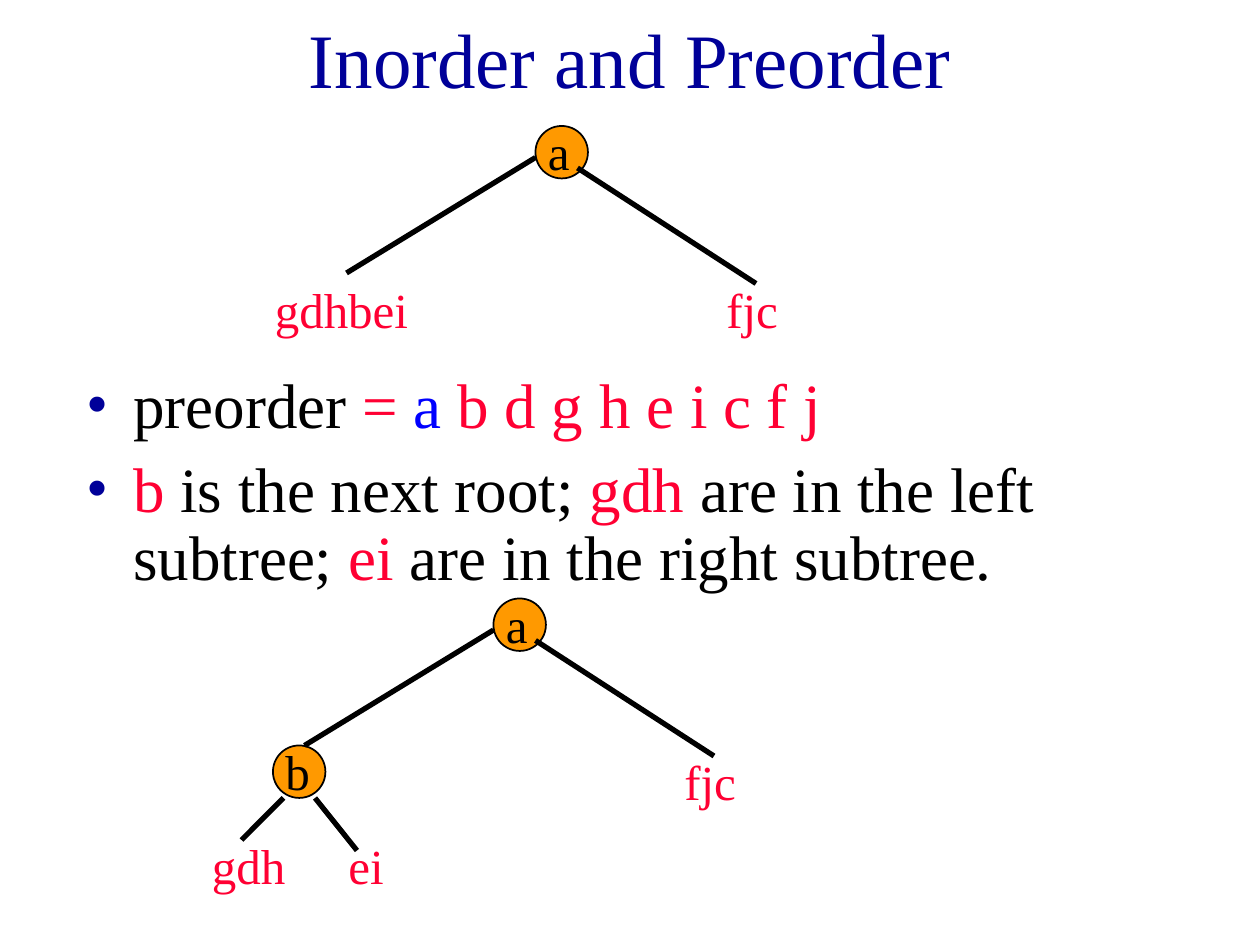
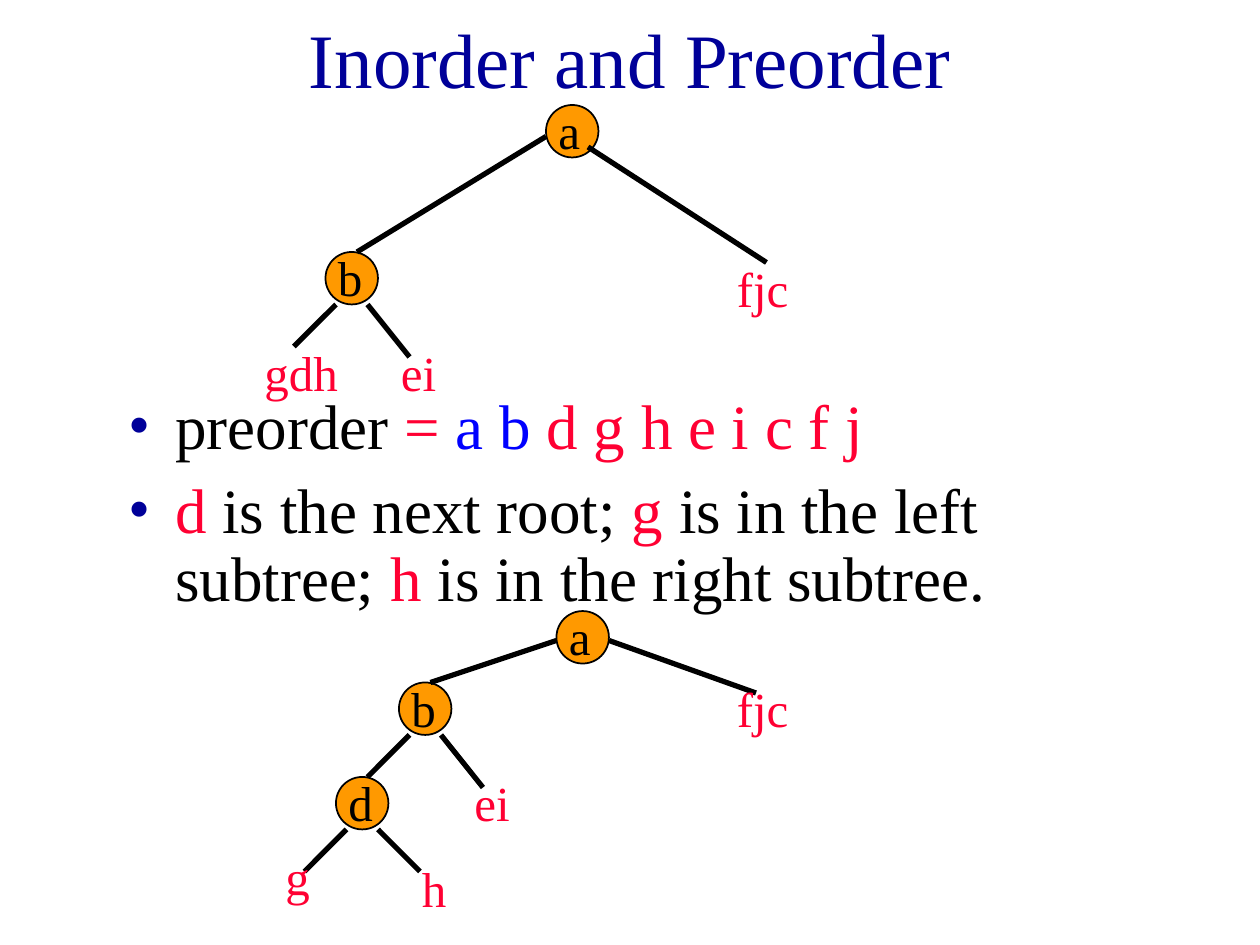
"""Build two slides on finding a binary tree from its inorder and preorder."""
from lxml import etree
from pptx import Presentation
from pptx.dml.color import RGBColor
from pptx.enum.shapes import MSO_CONNECTOR, MSO_SHAPE
from pptx.enum.text import MSO_ANCHOR, MSO_AUTO_SIZE, PP_ALIGN
from pptx.oxml.ns import qn
from pptx.util import Cm, Pt

OVAL = MSO_SHAPE.OVAL
LINE = MSO_CONNECTOR.STRAIGHT
MIDDLE, TOP = MSO_ANCHOR.MIDDLE, MSO_ANCHOR.TOP
CENTER, LEFT = PP_ALIGN.CENTER, PP_ALIGN.LEFT
NO_FIT = MSO_AUTO_SIZE.NONE

NAVY = RGBColor(0x00, 0x00, 0x99)
BLUE = RGBColor(0x00, 0x00, 0xFF)
RED = RGBColor(0xFF, 0x00, 0x33)
ORANGE = RGBColor(0xFF, 0x99, 0x00)
BLACK = RGBColor(0x00, 0x00, 0x00)
FONT = "Times New Roman"
STEP = Cm(2.54) // 12
NODE = 5


def grid(*nums):
    return [round(num * STEP) for num in nums]


def write(par, runs, size):
    for text, color in runs:
        run = par.add_run()
        run.text = text
        run.font.name = FONT
        run.font.size = Pt(size)
        run.font.color.rgb = color


ROOT = [("a", 0, 0)]
ARMS = [(0, 3, -18, 14), (4, 4, 21, 15)]
RIGHT = ("fjc", 17, 14, 17)
FIRST = (ROOT, ARMS, [("gdhbei", -26, 14, 17), RIGHT])
SECOND = (
    ROOT + [("b", -21, 14)],
    ARMS + [(-20, 19, -24, 23), (-17, 19, -13, 24)],
    [("gdh", -28, 22, 10), RIGHT, ("ei", -15, 22, 8)],
)
THIRD = (
    ROOT + [("b", -15, 6.8), ("d", -21, 15.8)],
    [(0, 2.8, -12, 6.8), (5, 2.8, 19, 7.8),
     (-14, 11.8, -18, 15.8), (-11, 11.8, -7, 16.8),
     (-20, 20.8, -24, 24.8), (-17, 20.8, -13, 24.8)],
    [("g", -27, 21.8, 5), ("fjc", 16, 5.8, 17),
     ("ei", -9, 14.8, 8), ("h", -14, 23, 6)],
)

SLIDES = [
    ((7, 35),
     [[("preorder", BLACK), (" = ", RED), ("a", BLUE), (" b d g h e i c f j", RED)],
      [("b", RED), (" is the next root; ", BLACK), ("gdh", RED),
       (" are in the left subtree; ", BLACK), ("ei", RED),
       (" are in the right subtree.", BLACK)]],
     [(51, 12, FIRST), (47, 57, SECOND)]),
    ((11, 37),
     [[("preorder", BLACK), (" = ", RED), ("a b", BLUE), (" d g h e i c f j", RED)],
      [("d", RED), (" is the next root; ", BLACK), ("g", RED),
       (" is in the left subtree; ", BLACK), ("h", RED),
       (" is in the right subtree.", BLACK)]],
     [(52, 10, SECOND), (53, 58.2, THIRD)]),
]

deck = Presentation()
deck.slide_width, deck.slide_height = Cm(25.4), Cm(19.05)

for (left, top), points, trees in SLIDES:
    slide = deck.slides.add_slide(deck.slide_layouts[1])
    title, body = slide.placeholders
    title.left, title.top, title.width, title.height = grid(9, 2, 102, 7)
    body.left, body.top, body.width, body.height = grid(left, top, 102, 24)
    for holder, anchor in ((title, MIDDLE), (body, TOP)):
        holder.text_frame.auto_size = NO_FIT
        holder.text_frame.vertical_anchor = anchor
    head = title.text_frame.paragraphs[0]
    head.alignment = CENTER
    write(head, [("Inorder and Preorder", NAVY)], 44)

    frame = body.text_frame
    for num, runs in enumerate(points):
        par = frame.add_paragraph() if num else frame.paragraphs[0]
        par.alignment = LEFT
        par.line_spacing = 0.9
        par.space_before = Pt(9)
        props = par._p.get_or_add_pPr()
        props.set("marL", str(Cm(0.95)))
        props.set("indent", str(-Cm(0.95)))
        tint = etree.SubElement(props, qn("a:buClr"))
        etree.SubElement(tint, qn("a:srgbClr"), val=str(NAVY))
        etree.SubElement(props, qn("a:buFont"), typeface=FONT)
        etree.SubElement(props, qn("a:buChar"), char="•")
        write(par, runs, 36)

    for x, y, (nodes, edges, leaves) in trees:
        tree = slide.shapes.add_group_shape().shapes
        for name, dx, dy in nodes:
            node = tree.add_shape(OVAL, *grid(x + dx, y + dy, NODE, NODE))
            node.shadow.inherit = False
            node.fill.solid()
            node.fill.fore_color.rgb = ORANGE
            node.line.color.rgb = BLACK
            node.line.width = Pt(1)
        for x1, y1, x2, y2 in edges:
            edge = tree.add_connector(LINE, *grid(x + x1, y + y1, x + x2, y + y2))
            edge.line.color.rgb = BLACK
            edge.line.width = Pt(3)
            etree.SubElement(edge._element.spPr, qn("a:effectLst"))
        names = [(name, dx, dy - 1, 10, BLACK) for name, dx, dy in nodes]
        names += [(*leaf, RED) for leaf in leaves]
        for name, dx, dy, width, color in names:
            label = tree.add_textbox(*grid(x + dx, y + dy, width, 6.8)).text_frame
            label.word_wrap = True
            write(label.paragraphs[0], [(name, color)], 28)

deck.save("out.pptx")
